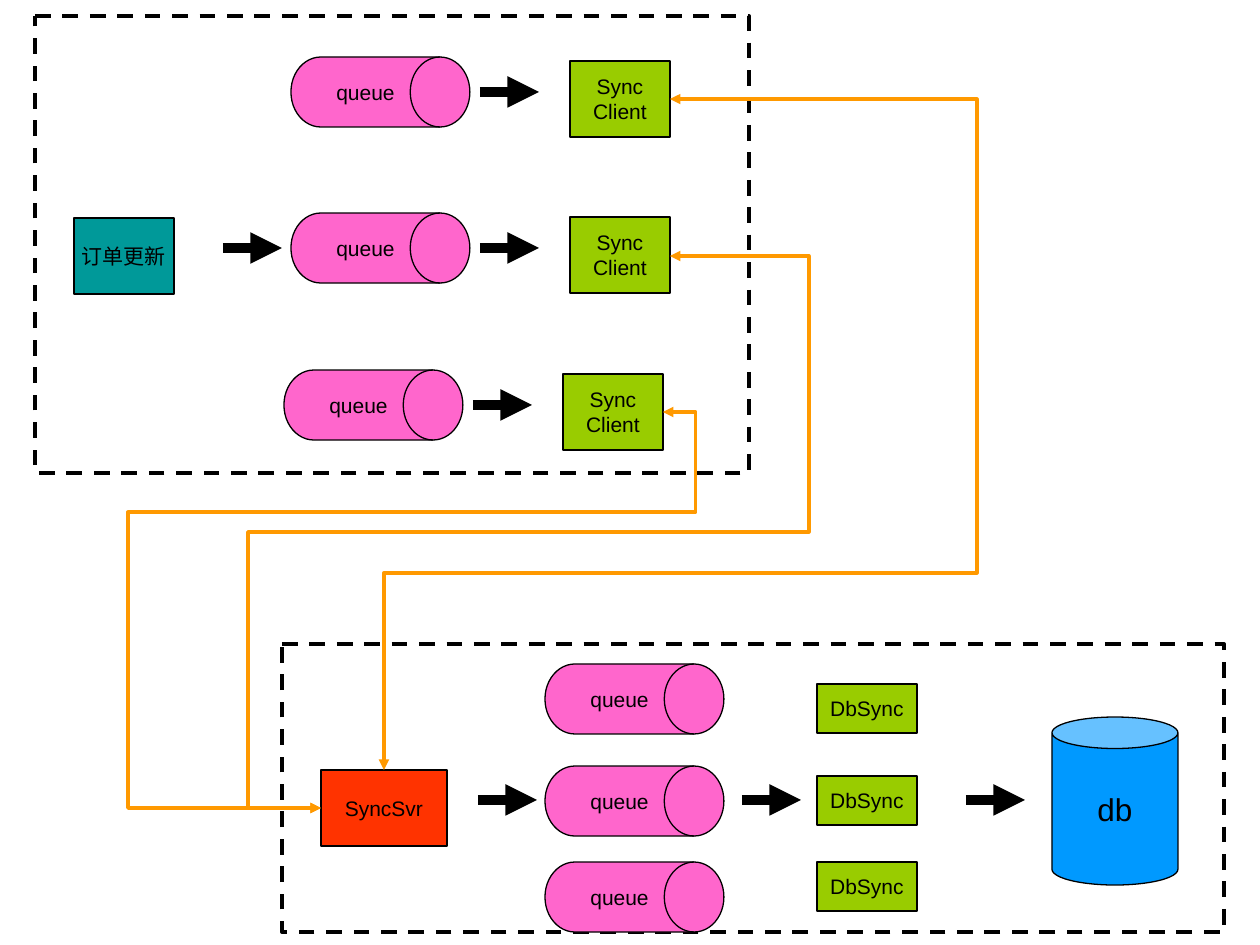
from pptx import Presentation, util as u
from pptx.dml.color import RGBColor
from pptx.enum import dml, shapes, text
from pptx.oxml import ns, xmlchemy

PX = u.Inches(1) / 126
HUES = {"ink": "000000", "queue": "FF66CC", "order": "009999", "sync": "99CC00",
        "server": "FF3300", "store": "0099FF", "route": "FF9900"}
KINDS = shapes.MSO_SHAPE
FRAME = {"word_wrap": False, "vertical_anchor": text.MSO_ANCHOR.MIDDLE,
         "margin_left": u.Inches(0.1), "margin_right": u.Inches(0.1),
         "margin_top": u.Inches(0.05), "margin_bottom": u.Inches(0.05)}


def emu(*vals):
    """Turn px into EMU."""
    return [round(v * PX) for v in vals]


def tint(name):
    """Give the colour with this name."""
    return RGBColor.from_string(HUES[name])


def put(obj, fmt):
    """Set each format value on an object."""
    for key, val in fmt.items():
        setattr(obj, key, val)


def stroke(line, hue, width):
    """Colour a line and set its width in points."""
    line.color.rgb = tint(hue)
    line.width = u.Pt(width)


def node(slide, kind, at, hue, words, size=12):
    """Draw a filled shape with centred words."""
    shape = slide.shapes.add_shape(kind, *emu(*at))
    shape.shadow.inherit = False
    shape.fill.solid()
    shape.fill.fore_color.rgb = tint(hue)
    stroke(shape.line, "ink", 0.75)
    frame = shape.text_frame
    put(frame, FRAME)
    frame.text = words
    for para in frame.paragraphs:
        para.alignment = text.PP_ALIGN.CENTER
        put(para.font, {"name": "Arial", "size": u.Pt(size)})
        para.font.color.rgb = tint("ink")


def zone(slide, *at):
    """Draw a dashed frame around a group."""
    shape = slide.shapes.add_shape(KINDS.FLOWCHART_PROCESS, *emu(*at))
    shape.shadow.inherit = False
    shape.fill.background()
    stroke(shape.line, "ink", 2.25)
    shape.line.dash_style = dml.MSO_LINE.DASH


def link(slide, kind, ends, hue, width, tips):
    """Draw a connector with arrow tips and return it."""
    conn = slide.shapes.add_connector(kind, *emu(*ends))
    stroke(conn.line, hue, width)
    props = conn._element.spPr
    for tip in tips:
        mark = xmlchemy.OxmlElement(f"a:{tip}")
        mark.set("type", "triangle")
        props.find(ns.qn("a:ln")).append(mark)
    props.append(xmlchemy.OxmlElement("a:effectLst"))
    return conn


def arrow(slide, left, mid):
    """Draw a thick short arrow to the right."""
    link(slide, shapes.MSO_CONNECTOR.STRAIGHT, (left, mid, left + 59, mid),
         "ink", 6, ["tailEnd"])


def route(slide, ends, turns):
    """Draw a two-way bent route turning at x, y, x in px."""
    conn = link(slide, shapes.MSO_CONNECTOR.ELBOW, ends, "route", 2,
                ["headEnd", "tailEnd"])
    geom = conn._element.spPr.find(ns.qn("a:prstGeom"))
    geom.set("prst", f"bentConnector{len(turns) + 2}")
    guides = geom.get_or_add_avLst()
    for i, turn in enumerate(turns):
        start, stop = ends[i % 2], ends[i % 2 + 2]
        guide = xmlchemy.OxmlElement("a:gd")
        guide.set("name", f"adj{i + 1}")
        guide.set("fmla", f"val {round((turn - start) / (stop - start) * 100000)}")
        guides.append(guide)


def queue(slide, left, top):
    """Draw a message queue."""
    node(slide, KINDS.FLOWCHART_DIRECT_ACCESS_STORAGE, (left, top, 179, 70),
         "queue", "queue")


def client(slide):
    """Draw the order side with its three client rows."""
    zone(slide, 35, 16, 714, 457)
    node(slide, KINDS.RECTANGLE, (74, 218, 100, 76), "order", "订单更新")
    arrow(slide, 223, 248)
    for dx, dy in ((0, 0), (0, 156), (-7, 313)):
        queue(slide, 291 + dx, 57 + dy)
        arrow(slide, 480 + dx, 92 + dy)
        node(slide, KINDS.RECTANGLE, (570 + dx, 61 + dy, 100, 76), "sync",
             "Sync\nClient")


def server(slide):
    """Draw the server side with its queues and store."""
    zone(slide, 282, 644, 942, 288)
    node(slide, KINDS.RECTANGLE, (321, 770, 126, 76), "server", "SyncSvr")
    for top in (664, 766, 862):
        queue(slide, 545, top)
    for top in (684, 776, 862):
        node(slide, KINDS.RECTANGLE, (817, top, 100, 49), "sync", "DbSync")
    for left in (478, 742, 966):
        arrow(slide, left, 800)
    node(slide, KINDS.CAN, (1052, 717, 126, 168), "store", "db", 18)


def main():
    """Build and save the slide."""
    deck = Presentation()
    put(deck, {"slide_width": u.Inches(10), "slide_height": u.Inches(7.5)})
    slide = deck.slides.add_slide(deck.slide_layouts[6])
    client(slide)
    server(slide)
    route(slide, (670, 99, 384, 770), (977, 573))
    route(slide, (670, 256, 321, 808), (809, 532, 248))
    route(slide, (663, 412, 321, 808), (696, 512, 128))
    deck.save("out.pptx")


if __name__ == "__main__":
    main()
